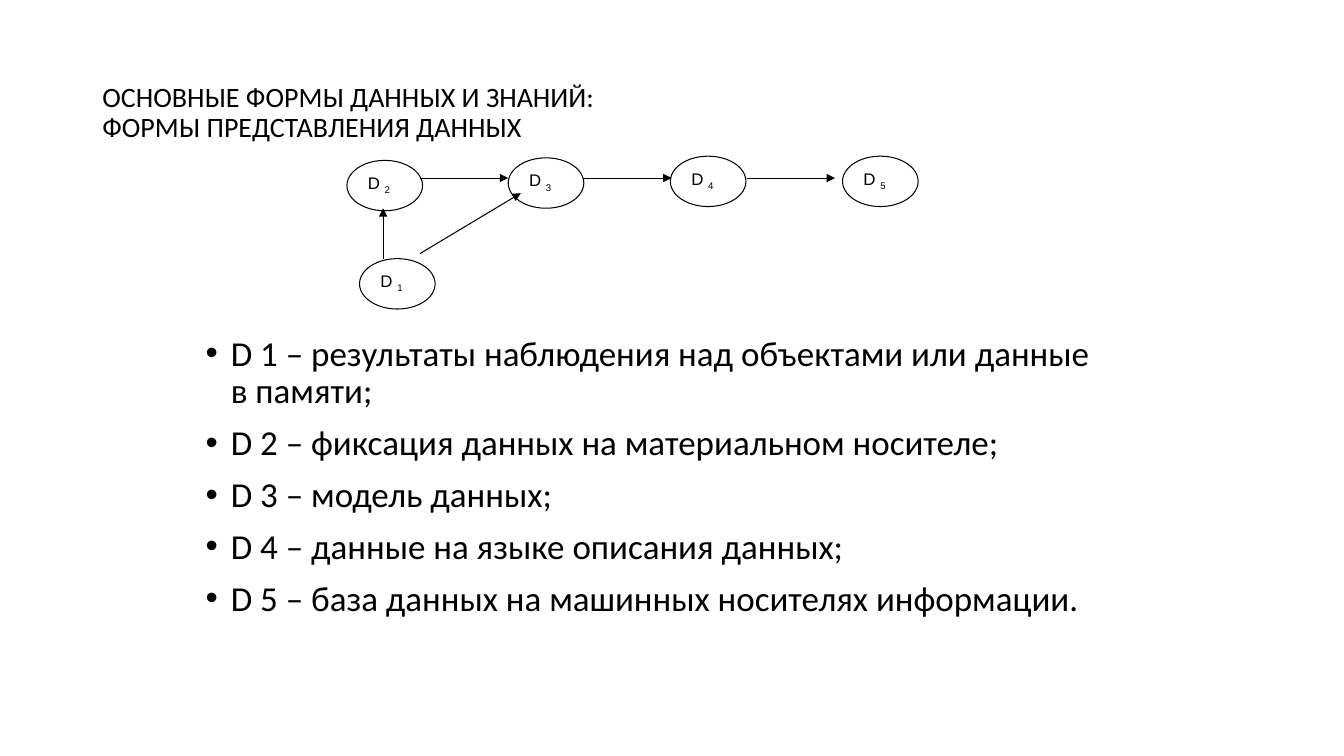
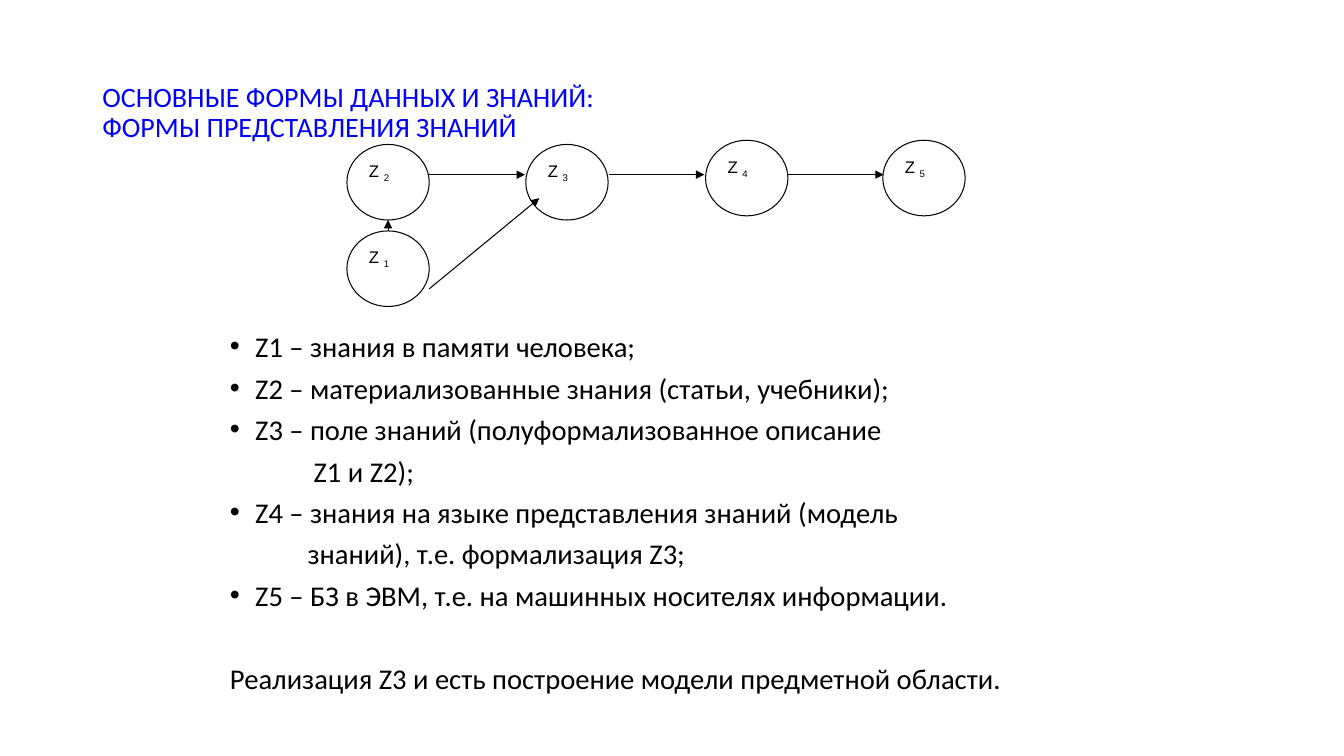
from lxml import etree
from pptx import Presentation
from pptx import util as u
from pptx.dml.color import RGBColor
from pptx.enum import shapes, text
from pptx.oxml.ns import qn

COLORS = {"ink": "000000", "paper": "FFFFFF", "blue": "0000FF"}
COLORS = {name: RGBColor.from_string(code) for name, code in COLORS.items()}

deck = Presentation()
deck.slide_width, deck.slide_height = u.Inches(13.33), u.Inches(7.5)
GRID = deck.slide_width / 160  # the slide is 160 columns by 90 rows


def cells(*counts):
    """Turn grid counts into lengths."""
    return [u.Emu(round(count * GRID)) for count in counts]


def style(para, size, font, color):
    """Set the font of a whole paragraph."""
    para.font.size, para.font.name = u.Pt(size), font
    para.font.color.rgb = COLORS[color]


# Body lines: kind and wording; "more" lines carry their own indent in inches.
SLIDES = [
    {
        "title": "ОСНОВНЫЕ ФОРМЫ ДАННЫХ И ЗНАНИЙ:\vФОРМЫ ПРЕДСТАВЛЕНИЯ ДАННЫХ",
        "title color": "ink",
        "letter": "D",
        "node size": (9, 6),
        "nodes": {2: (41.3, 19.1), 3: (60.5, 18.8), 4: (79.8, 18.6),
                  1: (42.8, 30.8), 5: (100.3, 18.6)},
        "chain": {"start": 50, "step": 19.45, "length": 10.5, "row": 21.2},
        "branches": [(45.6, 30.8, 45.6, 24.8), (50, 30.2, 62, 23)],
        "body": (23.3, 39.4, 108, 34.9),
        "body size": 25,
        "spacing": 0.9,
        "lines": [
            ("bullet", "D 1 – результаты наблюдения над объектами или данные в памяти;"),
            ("bullet", "D 2 – фиксация данных на материальном носителе;"),
            ("bullet", "D 3 – модель данных;"),
            ("bullet", "D 4 – данные на языке описания данных;"),
            ("bullet", "D 5 – база данных на машинных носителях информации."),
        ],
    },
    {
        "title": "ОСНОВНЫЕ ФОРМЫ ДАННЫХ И ЗНАНИЙ:\vФОРМЫ ПРЕДСТАВЛЕНИЯ ЗНАНИЙ",
        "title color": "blue",
        "letter": "Z",
        "node size": (9.8, 9),
        "nodes": {2: (41.3, 17.2), 3: (62.6, 17.2), 4: (84, 16.7),
                  1: (41.3, 27.5), 5: (105.1, 16.7)},
        "chain": {"start": 51.1, "step": 21.35, "length": 11.4, "row": 20.8},
        "branches": [(46.2, 35.2, 46.2, 26.2), (51.1, 34.4, 64.2, 23.6)],
        "body": (26.2, 39.4, 108, 44.4),
        "body size": 20.4,
        "spacing": 0.8,
        "lines": [
            ("bullet", "Z1 – знания в памяти человека;"),
            ("bullet", "Z2 – материализованные знания (статьи, учебники);"),
            ("bullet", "Z3 – поле знаний (полуформализованное описание"),
            (0.83, "Z1 и Z2);"),
            ("bullet", "Z4 – знания на языке представления знаний (модель"),
            (0.77, "знаний), т.е. формализация Z3;"),
            ("bullet", "Z5 – БЗ в ЭВМ, т.е. на машинных носителях информации."),
            ("closing", "Реализация Z3 и есть построение модели предметной области."),
        ],
    },
]

for content in SLIDES:
    page = deck.slides.add_slide(deck.slide_layouts[6])

    title = page.shapes.add_textbox(*cells(11, 4.8, 138, 17.4)).text_frame
    title.word_wrap = True
    title.vertical_anchor = text.MSO_ANCHOR.MIDDLE
    title.text = content["title"]
    title.paragraphs[0].line_spacing = 0.9
    style(title.paragraphs[0], 20, "Calibri", content["title color"])

    body = page.shapes.add_textbox(*cells(*content["body"])).text_frame
    body.word_wrap = True
    for index, (kind, wording) in enumerate(content["lines"]):
        para = body.add_paragraph() if index else body.paragraphs[0]
        para.text = wording
        para.line_spacing = content["spacing"]
        para.space_before = u.Pt(40 if kind == "closing" else 10)
        style(para, content["body size"], "Calibri", "ink")
        margin = {"bullet": 0.25, "closing": 0}.get(kind, kind)
        props = para._p.get_or_add_pPr()
        props.set("marL", str(u.Inches(margin)))
        if kind == "bullet":
            props.set("indent", str(-u.Inches(margin)))
            face = etree.Element(qn("a:buFont"), typeface="Arial")
            mark = etree.Element(qn("a:buChar"), char="•")
            props.find(qn("a:spcBef")).addnext(face)
            face.addnext(mark)

    chain = content["chain"]
    starts = [chain["start"] + chain["step"] * step for step in range(3)]
    arrows = content["branches"] + [
        (start, chain["row"], start + chain["length"], chain["row"]) for start in starts]
    for ends in arrows:
        arrow = page.shapes.add_connector(shapes.MSO_CONNECTOR.STRAIGHT, *cells(*ends))
        arrow.line.color.rgb, arrow.line.width = COLORS["ink"], u.Pt(0.75)
        etree.SubElement(arrow.line._get_or_add_ln(), qn("a:tailEnd"), type="triangle")
        etree.SubElement(arrow._element.spPr, qn("a:effectLst"))
    first_arrow = page.shapes[2]._element

    for number, corner in content["nodes"].items():
        node = page.shapes.add_shape(
            shapes.MSO_SHAPE.OVAL, *cells(*corner, *content["node size"]))
        node.shadow.inherit = False
        node.fill.solid()
        node.fill.fore_color.rgb = COLORS["paper"]
        node.line.color.rgb, node.line.width = COLORS["ink"], u.Pt(0.75)
        node.text_frame.vertical_anchor = text.MSO_ANCHOR.TOP
        para = node.text_frame.paragraphs[0]
        para.alignment = text.PP_ALIGN.LEFT
        style(para, 12, "Arial", "ink")
        para.add_run().text = content["letter"] + " "
        span = para.add_run()
        span.text = str(number)
        span._r.get_or_add_rPr().set("baseline", "-25000")
        if number in (2, 3, 4):  # arrowheads lie over these nodes
            first_arrow.addprevious(node._element)

deck.save("out.pptx")
